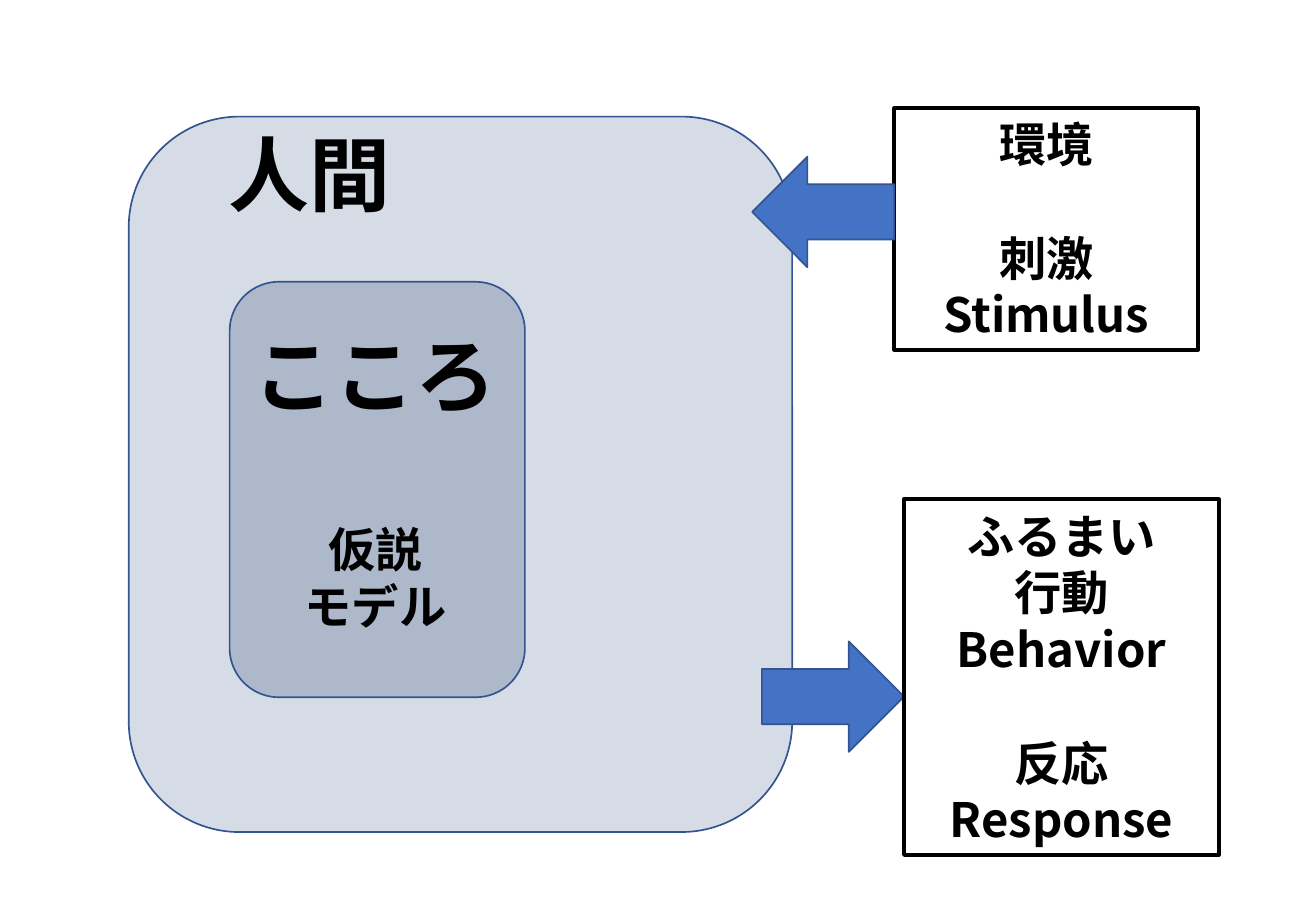
import pptx
import pptx.dml.color
import pptx.enum.shapes
import pptx.enum.text
import pptx.oxml.ns
import pptx.util
from lxml import etree

Inches = pptx.util.Inches
Pt = pptx.util.Pt
RGBColor = pptx.dml.color.RGBColor
Shape = pptx.enum.shapes.MSO_SHAPE
qn = pptx.oxml.ns.qn

BLACK = RGBColor(0x00, 0x00, 0x00)
PALE_GREY = RGBColor(0xD6, 0xDC, 0xE5)
BLUE_GREY = RGBColor(0xAD, 0xB9, 0xCA)
BLUE = RGBColor(0x44, 0x72, 0xC4)
DARK_BLUE = RGBColor(0x32, 0x54, 0x90)

FONT = "Noto Sans CJK JP"
LARGE, MEDIUM = 48, 28
LINE_HEIGHT = 1.2


class Diagram:
    def __init__(self, slide):
        self.slide = slide

    def shape(self, kind, box, fill=None, line=DARK_BLUE, width=1):
        shape = self.slide.shapes.add_shape(kind, *map(Inches, box))
        shape.shadow.inherit = False
        if fill is None:
            shape.fill.background()
        else:
            shape.fill.solid()
            shape.fill.fore_color.rgb = fill
        shape.line.color.rgb = line
        shape.line.width = Pt(width)
        return shape

    def fill_text(self, shape, groups):
        """Put in groups of (text, size) lines, one line height apart."""
        frame = shape.text_frame
        frame.word_wrap = True
        frame.vertical_anchor = pptx.enum.text.MSO_ANCHOR.MIDDLE
        paragraph = frame.paragraphs[0]
        for group_index, group in enumerate(groups):
            for line_index, (text, size) in enumerate(group):
                if group_index or line_index:
                    paragraph = frame.add_paragraph()
                if group_index and not line_index:
                    paragraph.space_before = Pt(previous_size * LINE_HEIGHT)
                paragraph.text = text
                self.style(paragraph, size)
                previous_size = size

    def style(self, paragraph, size):
        paragraph.alignment = pptx.enum.text.PP_ALIGN.CENTER
        font = paragraph.font
        font.name = FONT
        font.size = Pt(size)
        font.bold = True
        font.color.rgb = BLACK
        properties = paragraph._p.pPr.find(qn("a:defRPr"))
        etree.SubElement(properties, qn("a:ea"), typeface=FONT)

    def label(self, box, groups):
        self.fill_text(self.slide.shapes.add_textbox(*map(Inches, box)), groups)

    def framed_text(self, box, groups):
        frame = self.shape(Shape.RECTANGLE, box, line=BLACK, width=2.25)
        self.fill_text(frame, [[(text, MEDIUM) for text in group] for group in groups])

    def arrow(self, kind, left, top):
        self.shape(kind, (left, top, 1.17, 0.91), BLUE)


def main():
    presentation = pptx.Presentation()
    presentation.slide_width = Inches(10.83)
    presentation.slide_height = Inches(7.5)
    slide = presentation.slides.add_slide(presentation.slide_layouts[6])
    diagram = Diagram(slide)

    diagram.shape(Shape.ROUNDED_RECTANGLE, (1.06, 0.96, 5.46, 5.89), PALE_GREY)
    diagram.shape(Shape.ROUNDED_RECTANGLE, (1.89, 2.32, 2.43, 3.42), BLUE_GREY)
    diagram.label((1.66, 0.97, 1.77, 0.91), [[("人間", LARGE)]])
    diagram.label(
        (1.92, 2.62, 2.34, 2.66),
        [[("こころ", LARGE)], [("仮説", MEDIUM), ("モデル", MEDIUM)]],
    )

    diagram.arrow(Shape.RIGHT_ARROW, 6.27, 5.28)
    diagram.framed_text((7.36, 0.89, 2.5, 1.99), [["環境"], ["刺激", "Stimulus"]])
    diagram.arrow(Shape.LEFT_ARROW, 6.19, 1.29)
    diagram.framed_text(
        (7.44, 4.11, 2.59, 2.93),
        [["ふるまい", "行動", "Behavior"], ["反応", "Response"]],
    )

    presentation.save("out.pptx")


if __name__ == "__main__":
    main()
